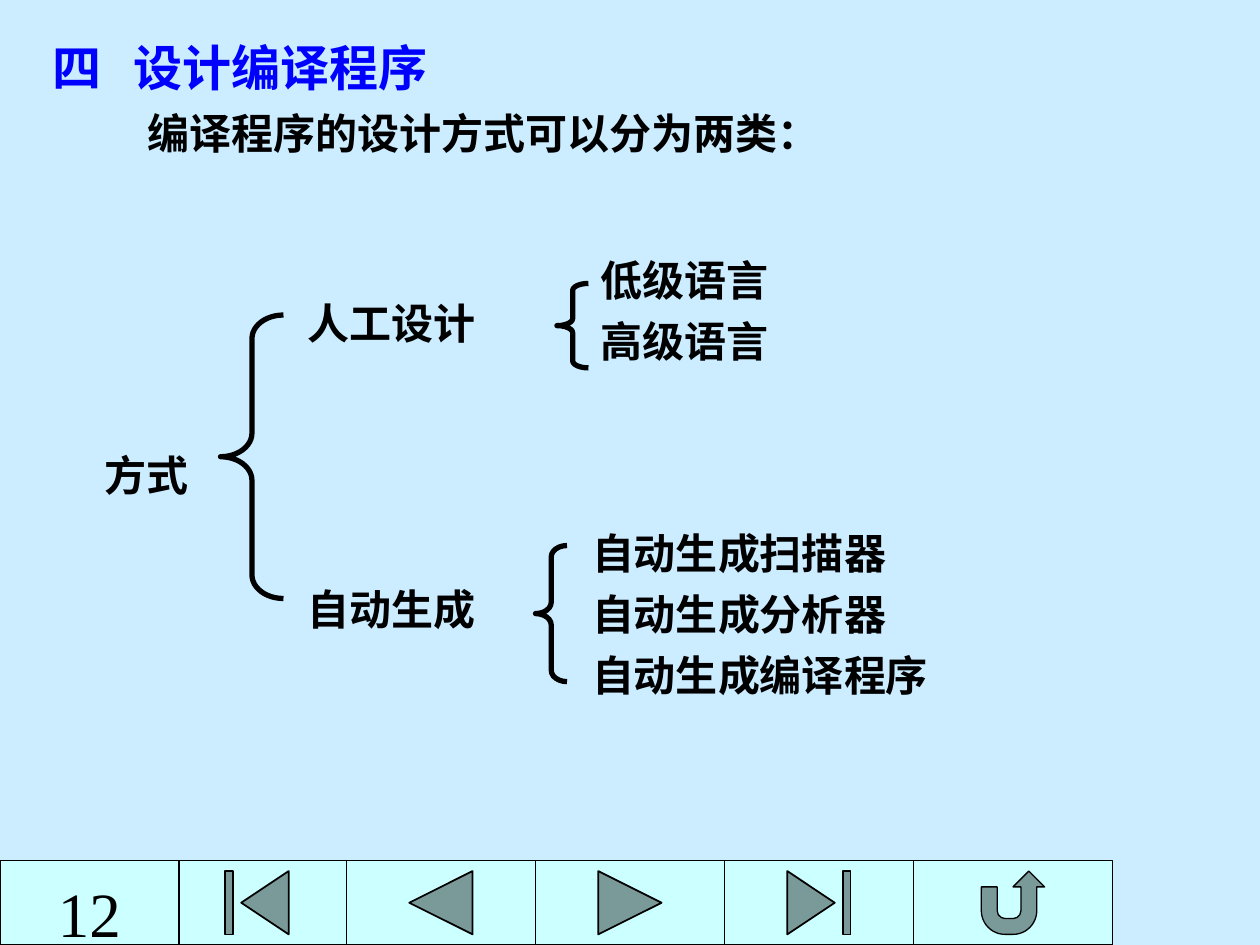
from lxml import etree
from pptx import Presentation
from pptx.dml.color import RGBColor
from pptx.enum.shapes import MSO_SHAPE
from pptx.enum.text import MSO_ANCHOR, PP_ALIGN
from pptx.oxml.ns import qn
from pptx.util import Inches, Pt

SKY = RGBColor(0xCC, 0xEC, 0xFF)
AQUA = RGBColor(0xCC, 0xFF, 0xFF)
BLUE = RGBColor(0x00, 0x00, 0xFF)
BLACK = RGBColor(0x00, 0x00, 0x00)
LATIN, HAN = "Times New Roman", "Noto Sans CJK SC"
TOP, LEFT, CENTER = MSO_ANCHOR.TOP, PP_ALIGN.LEFT, PP_ALIGN.CENTER
RECT, BRACE = MSO_SHAPE.RECTANGLE, MSO_SHAPE.LEFT_BRACE
FIRST, BACK = MSO_SHAPE.ACTION_BUTTON_BEGINNING, MSO_SHAPE.ACTION_BUTTON_BACK_OR_PREVIOUS
NEXT, LAST = MSO_SHAPE.ACTION_BUTTON_FORWARD_OR_NEXT, MSO_SHAPE.ACTION_BUTTON_END
RETURN = MSO_SHAPE.ACTION_BUTTON_RETURN

WIDE, HIGH = 10, 7.5
HEAD = {"size": Pt(28), "bold": True, "color": BLUE}
BODY = {"size": Pt(24), "bold": True, "color": BLACK}
PAGE = {"size": Pt(36), "bold": False, "color": BLACK}


def place(shape, box):
    for name, value in zip(("left", "top", "width", "height"), box):
        setattr(shape, name, Inches(value))


def write(frame, lines, form, align=LEFT, gap=6):
    """Fill a text frame with one paragraph per line, gap points apart."""
    frame.word_wrap = True
    frame.vertical_anchor = TOP
    for i, line in enumerate(lines):
        para = frame.paragraphs[0] if i == 0 else frame.add_paragraph()
        para.alignment = align
        para.line_spacing = 1.0
        para.space_before = Pt(gap if i else 0)
        run = para.add_run()
        run.text = line
        style(run, form)


def style(run, form):
    font = run.font
    font.name = LATIN
    for key, value in form.items():
        if key == "color":
            font.color.rgb = value
        else:
            setattr(font, key, value)
    east = etree.SubElement(font._element, qn("a:ea"))
    east.set("typeface", HAN)


def heading(slide, box):
    title = slide.shapes.title
    place(title, box)
    frame = title.text_frame
    frame.margin_right = 0
    write(frame, ["四\t设计编译程序", "编译程序的设计方式可以分为两类："], HEAD)
    head, body = frame.paragraphs
    tabs = etree.SubElement(head._p.get_or_add_pPr(), qn("a:tabLst"))
    etree.SubElement(tabs, qn("a:tab"), pos=str(Inches(0.64)), algn="l")
    body._p.get_or_add_pPr().set("marL", str(Inches(0.75)))
    font = body.runs[0].font
    font.size, font.color.rgb = BODY["size"], BLACK


def label(slide, box, lines):
    write(slide.shapes.add_textbox(*map(Inches, box)).text_frame, lines, BODY)


def brace(slide, box):
    shape = slide.shapes.add_shape(BRACE, *map(Inches, box))
    shape.shadow.inherit = False
    shape.fill.background()
    shape.line.color.rgb = BLACK
    shape.line.width = Pt(3)
    shape.adjustments[0] = box[3] / box[2] / 12


def tree(slide, box):
    """Draw the root, its two branches and their leaves."""
    x, y, w, h = box
    label(slide, (x, y + 1.55, 0.95, 0.5), ["方式"])
    brace(slide, (x + 1.02, y + 0.53, 0.5, 2.25))
    branches = (
        ("人工设计", 0.34, (3.69, 0.28, 0.25, 0.67),
         (3.94, 0, 1.6, 0.99), ["低级语言", "高级语言"]),
        ("自动生成", 2.61, (3.52, 2.36, 0.25, 1.08), (3.87, 2.17, 2.95, 1.47),
         ["自动生成扫描器", "自动生成分析器", "自动生成编译程序"]),
    )
    for name, drop, curve, spot, leaves in branches:
        label(slide, (x + 1.61, y + drop, 1.6, 0.5), [name])
        brace(slide, (x + curve[0], y + curve[1], *curve[2:]))
        label(slide, (x + spot[0], y + spot[1], *spot[2:]), leaves)


def button(slide, kind, box, line=1):
    shape = slide.shapes.add_shape(kind, *map(Inches, box))
    shape.shadow.inherit = False
    shape.fill.solid()
    shape.fill.fore_color.rgb = AQUA
    shape.line.color.rgb = BLACK
    shape.line.width = Pt(line)
    return shape


def bar(slide, box):
    """Draw the row of buttons, then the page number over its left end."""
    x, y, w, h = box
    edges = [1.33, 2.75, 4.25, 5.75, 7.25, w]
    kinds = (FIRST, BACK, NEXT, LAST, RETURN)
    for kind, left, right in zip(kinds, edges, edges[1:]):
        button(slide, kind, (x + left, y, right - left, h),
               0.75 if kind == RETURN else 1)
    page = button(slide, RECT, (x, y, 1.42, h)).text_frame
    page.margin_top = Inches(0.11)
    page.margin_bottom = 0
    write(page, ["12"], PAGE, CENTER)


def main():
    deck = Presentation()
    deck.slide_width, deck.slide_height = Inches(WIDE), Inches(HIGH)
    slide = deck.slides.add_slide(deck.slide_layouts[5])
    slide.background.fill.solid()
    slide.background.fill.fore_color.rgb = SKY
    heading(slide, (0.32, 0.25, 6.3, 1.05))
    tree(slide, (0.73, 1.97, 6.74, 3.64))
    bar(slide, (0, 6.83, 8.83, 0.67))
    deck.save("out.pptx")


if __name__ == "__main__":
    main()
